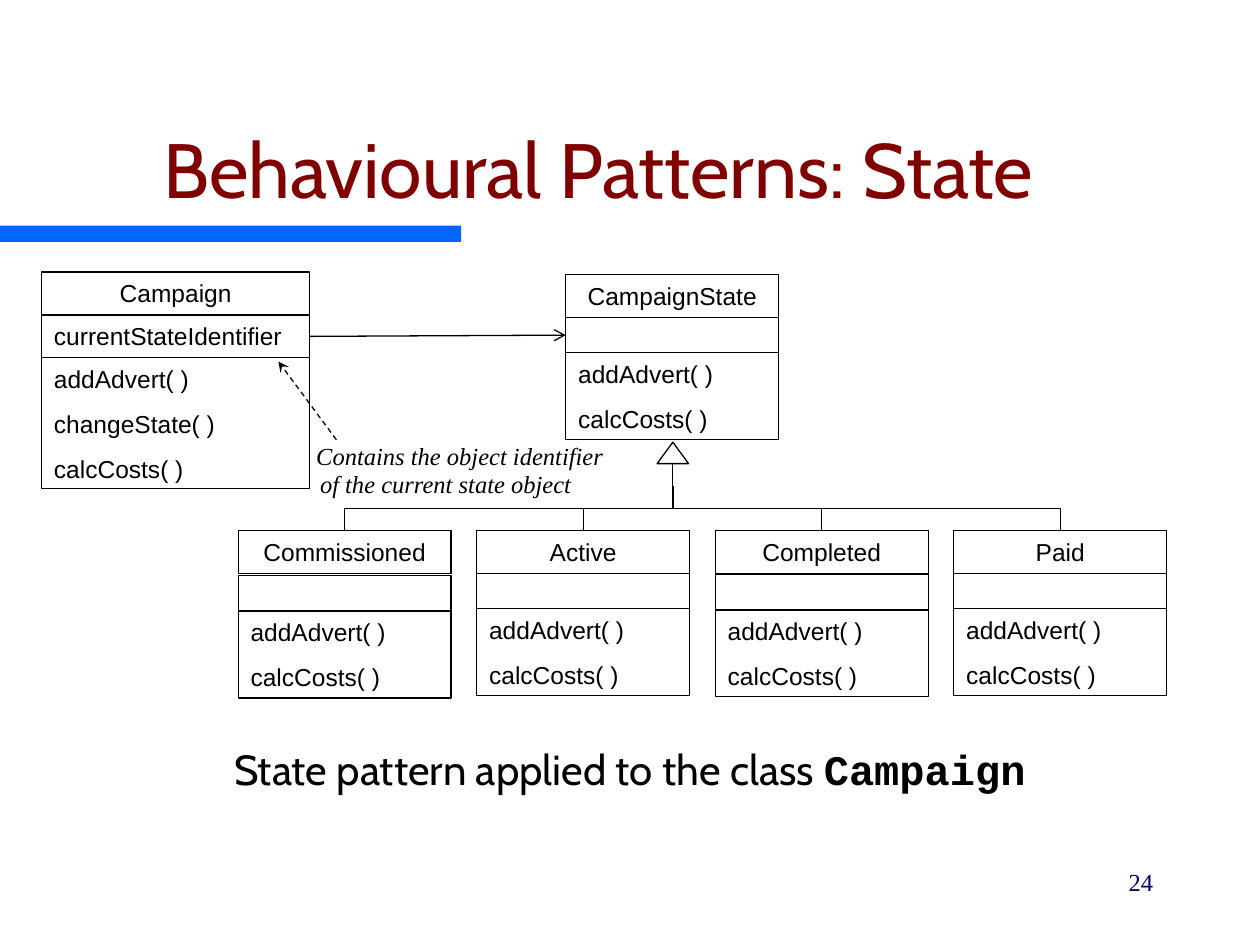
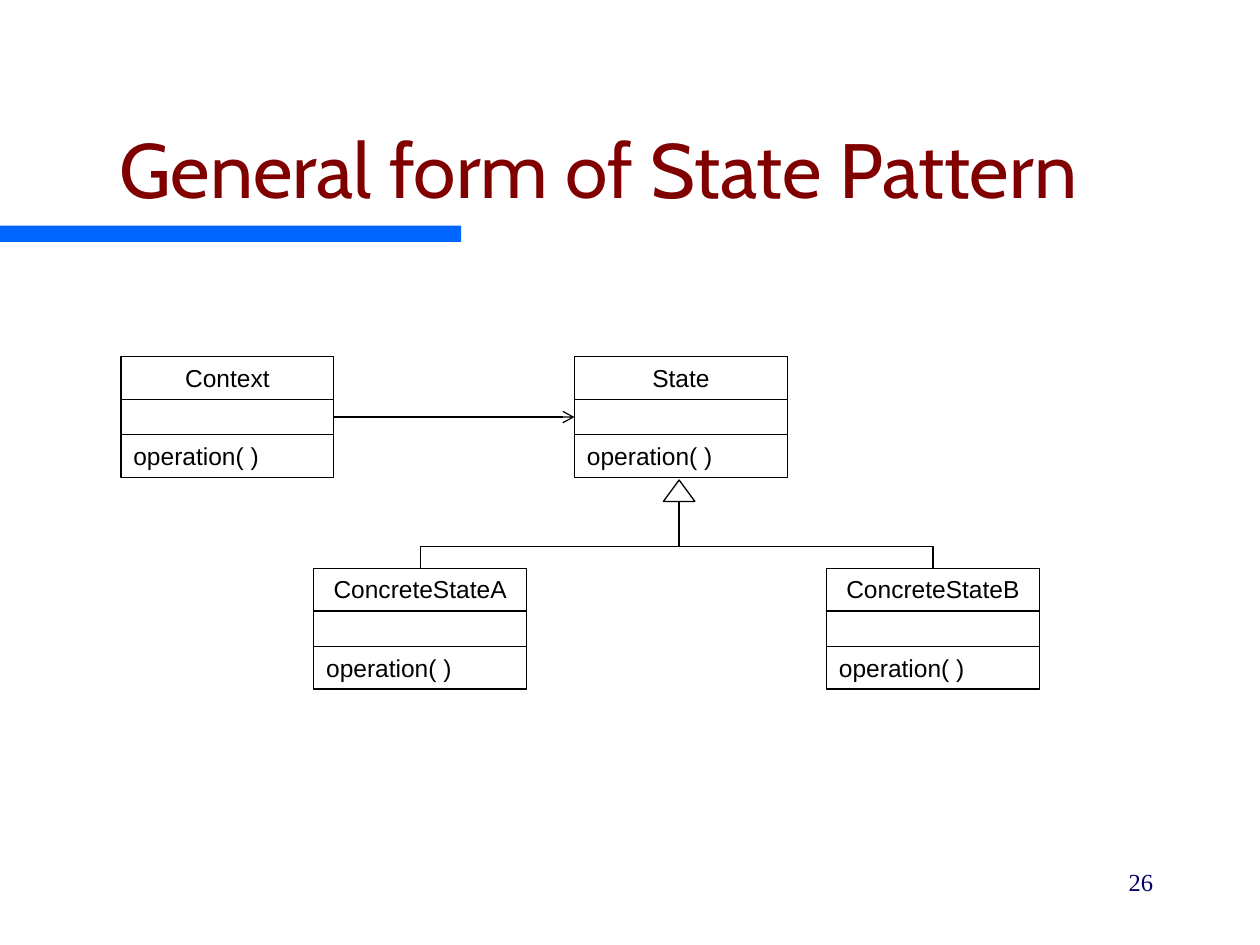
from lxml import etree
from pptx import Presentation
from pptx.dml.color import RGBColor
from pptx.enum.dml import MSO_LINE
from pptx.enum.shapes import MSO_CONNECTOR, MSO_SHAPE
from pptx.enum.text import MSO_ANCHOR, MSO_AUTO_SIZE, PP_ALIGN
from pptx.oxml.ns import qn
from pptx.util import Inches, Pt

RECTANGLE = MSO_SHAPE.RECTANGLE
STRAIGHT = MSO_CONNECTOR.STRAIGHT
ELBOW = MSO_CONNECTOR.ELBOW
DASH = MSO_LINE.DASH
LEFT = PP_ALIGN.LEFT
CENTER = PP_ALIGN.CENTER
RIGHT = PP_ALIGN.RIGHT
TOP = MSO_ANCHOR.TOP
BOTTOM = MSO_ANCHOR.BOTTOM
NO_AUTOFIT = MSO_AUTO_SIZE.NONE

BLACK = "000000"
WHITE = "FFFFFF"
MAROON = "800000"
BLUE = "0066FF"
NAVY = "000066"
TITLE_FONT = "Cabin"
DIAGRAM_FONT = "Arial"
SERIF_FONT = "Times New Roman"
CODE_FONT = "Courier New"

LINE_WIDTH = Pt(0.75)
CLASS_WIDTH = 1.69
ROW_HEIGHT = 0.34
EXTRA_ROW = 0.35
EMPTY_HEIGHT = 0.28
ARROW_WIDTH = 0.25
ARROW_HEIGHT = 0.17
STEM_END = 0.35


def color(hex_string):
    return RGBColor.from_string(hex_string)


def format_font(font, name, size, hex_string, bold=False, italic=False):
    font.name = name
    font.size = Pt(size)
    font.color.rgb = color(hex_string)
    font.bold = bold
    font.italic = italic


def set_outline(shape):
    shape.line.color.rgb = color(BLACK)
    shape.line.width = LINE_WIDTH


def fill_text(shape, lines, name, size, hex_string, align=LEFT, italic=False):
    text_frame = shape.text_frame
    text_frame.text = "\n".join(lines)
    text_frame.vertical_anchor = TOP
    for index, paragraph in enumerate(text_frame.paragraphs):
        paragraph.alignment = align
        if index:
            paragraph.space_before = Pt(8.8)
        for run in paragraph.runs:
            format_font(run.font, name, size, hex_string, italic=italic)


def add_text(slide, box, text, name, size, hex_string, align=LEFT,
             italic=False, inset=True):
    shape = slide.shapes.add_textbox(*map(Inches, box))
    fill_text(shape, [text], name, size, hex_string, align, italic)
    text_frame = shape.text_frame
    text_frame.word_wrap = align == RIGHT
    if not inset:
        text_frame.margin_left = text_frame.margin_right = 0
        text_frame.margin_top = text_frame.margin_bottom = 0
    return shape


def add_titled_slide(presentation, title, number):
    slide = presentation.slides.add_slide(presentation.slide_layouts[5])
    placeholder = slide.shapes.title
    placeholder.left, placeholder.top = Inches(0.25), Inches(0.5)
    placeholder.width, placeholder.height = Inches(9), Inches(1.25)
    fill_text(placeholder, [title], TITLE_FONT, 44, MAROON, CENTER)
    placeholder.text_frame.vertical_anchor = BOTTOM
    placeholder.text_frame.auto_size = NO_AUTOFIT

    band = slide.shapes.add_shape(
        RECTANGLE, 0, Inches(1.79), Inches(3.66), Inches(0.13))
    band.shadow.inherit = False
    band.fill.solid()
    band.fill.fore_color.rgb = color(BLUE)
    band.line.fill.background()

    add_text(slide, (7.17, 6.83, 2.08, 0.5), number, SERIF_FONT, 14, NAVY, RIGHT)
    return slide


def add_compartment(slide, left, top, width, lines, align=LEFT):
    height = ROW_HEIGHT + EXTRA_ROW * (len(lines) - 1) if lines else EMPTY_HEIGHT
    shape = slide.shapes.add_shape(
        RECTANGLE, Inches(left), Inches(top), Inches(width), Inches(height))
    shape.shadow.inherit = False
    shape.fill.background()
    set_outline(shape)
    if lines:
        fill_text(shape, lines, DIAGRAM_FONT, 14, BLACK, align)
    return shape, top + height


def add_class(slide, left, top, name, operations, attributes=(),
              width=CLASS_WIDTH, gap=0):
    _, bottom = add_compartment(slide, left, top, width, [name], CENTER)
    attribute_box, bottom = add_compartment(
        slide, left, bottom + gap, width, attributes)
    add_compartment(slide, left, bottom, width, operations)
    return attribute_box


def add_line(slide, start, end, kind=STRAIGHT, arrowhead=None):
    connector = slide.shapes.add_connector(kind, *map(Inches, start + end))
    set_outline(connector)
    properties = connector.element.spPr
    if arrowhead:
        etree.SubElement(properties.find(qn("a:ln")), qn("a:tailEnd"), type=arrowhead)
    etree.SubElement(properties, qn("a:effectLst"))
    return connector


def add_branch(slide, start, end):
    (start_x, start_y), (end_x, end_y) = start, end
    center_x, center_y = (start_x + end_x) / 2, (start_y + end_y) / 2
    half_drop, half_span = (end_y - start_y) / 2, abs(end_x - start_x) / 2
    connector = add_line(
        slide,
        (center_x - half_drop, center_y - half_span),
        (center_x + half_drop, center_y + half_span),
        ELBOW)
    transform = connector.element.spPr.find(qn("a:xfrm"))
    if end_x < start_x:
        transform.set("rot", str(90 * 60000))
    else:
        transform.set("rot", str(270 * 60000))
        transform.set("flipH", "1")


def add_inheritance(slide, x, y, child_lefts, child_top):
    base = y + ARROW_HEIGHT
    builder = slide.shapes.build_freeform(Inches(x), Inches(y))
    builder.add_line_segments([
        (Inches(x + ARROW_WIDTH / 2), Inches(base)),
        (Inches(x - ARROW_WIDTH / 2), Inches(base))], close=True)
    triangle = builder.convert_to_shape()
    triangle.shadow.inherit = False
    triangle.fill.solid()
    triangle.fill.fore_color.rgb = color(WHITE)
    set_outline(triangle)

    stem_end = (x, y + STEM_END)
    add_line(slide, (x, base), stem_end)
    for left in child_lefts:
        add_branch(slide, stem_end, (left + CLASS_WIDTH / 2, child_top))


def add_association(slide, source, target):
    connector = add_line(slide, (0, 0), (1, 1), arrowhead="arrow")
    connector.begin_connect(source, 3)
    connector.end_connect(target, 1)


def build_campaign_slide(presentation):
    slide = add_titled_slide(presentation, "Behavioural Patterns: State", "24")
    state_operations = ["addAdvert( )", "calcCosts( )"]
    campaign = add_class(
        slide, 0.33, 2.16, "Campaign",
        ["addAdvert( )", "changeState( )", "calcCosts( )"],
        ["currentStateIdentifier"], width=2.13)
    campaign_state = add_class(slide, 4.49, 2.18, "CampaignState", state_operations)
    add_association(slide, campaign, campaign_state)

    states = [("Commissioned", 0.02), ("Active", 0), ("Completed", 0.01), ("Paid", 0)]
    first_left, last_left, top = 1.89, 7.57, 4.21
    step = (last_left - first_left) / (len(states) - 1)
    lefts = [first_left + index * step for index in range(len(states))]
    for left, (name, gap) in zip(lefts, states):
        add_class(slide, left, top, name, state_operations, gap=gap)
    add_inheritance(slide, 5.34, 3.51, lefts, top)

    note_arrow = add_line(slide, (2.67, 3.49), (2.21, 2.87), arrowhead="stealth")
    note_arrow.line.dash_style = DASH
    for left, top, text in [
            (2.51, 3.5, "Contains the object identifier"),
            (2.54, 3.72, "of the current state object")]:
        add_text(slide, (left, top, 2.3, 0.23), text, SERIF_FONT, 14, BLACK,
                 italic=True, inset=False)

    caption = add_text(slide, (1.76, 5.85, 7.03, 0.5),
                       "State pattern applied to the class ", TITLE_FONT, 24, BLACK)
    class_name = caption.text_frame.paragraphs[0].add_run()
    class_name.text = "Campaign"
    format_font(class_name.font, CODE_FONT, 24, BLACK, bold=True)


def build_general_slide(presentation):
    slide = add_titled_slide(presentation, "General form of State Pattern", "26")
    operations = ["operation( )"]
    context = add_class(slide, 0.96, 2.83, "Context", operations)
    state = add_class(slide, 4.56, 2.83, "State", operations)
    add_association(slide, context, state)

    top = 4.51
    concrete_states = {"ConcreteStateA": 2.49, "ConcreteStateB": 6.56}
    for name, left in concrete_states.items():
        add_class(slide, left, top, name, operations)
    add_inheritance(slide, 5.39, 3.81, concrete_states.values(), top)


def main():
    presentation = Presentation()
    presentation.slide_width = Inches(10)
    presentation.slide_height = Inches(7.5)
    build_campaign_slide(presentation)
    build_general_slide(presentation)
    presentation.save("out.pptx")


if __name__ == "__main__":
    main()
